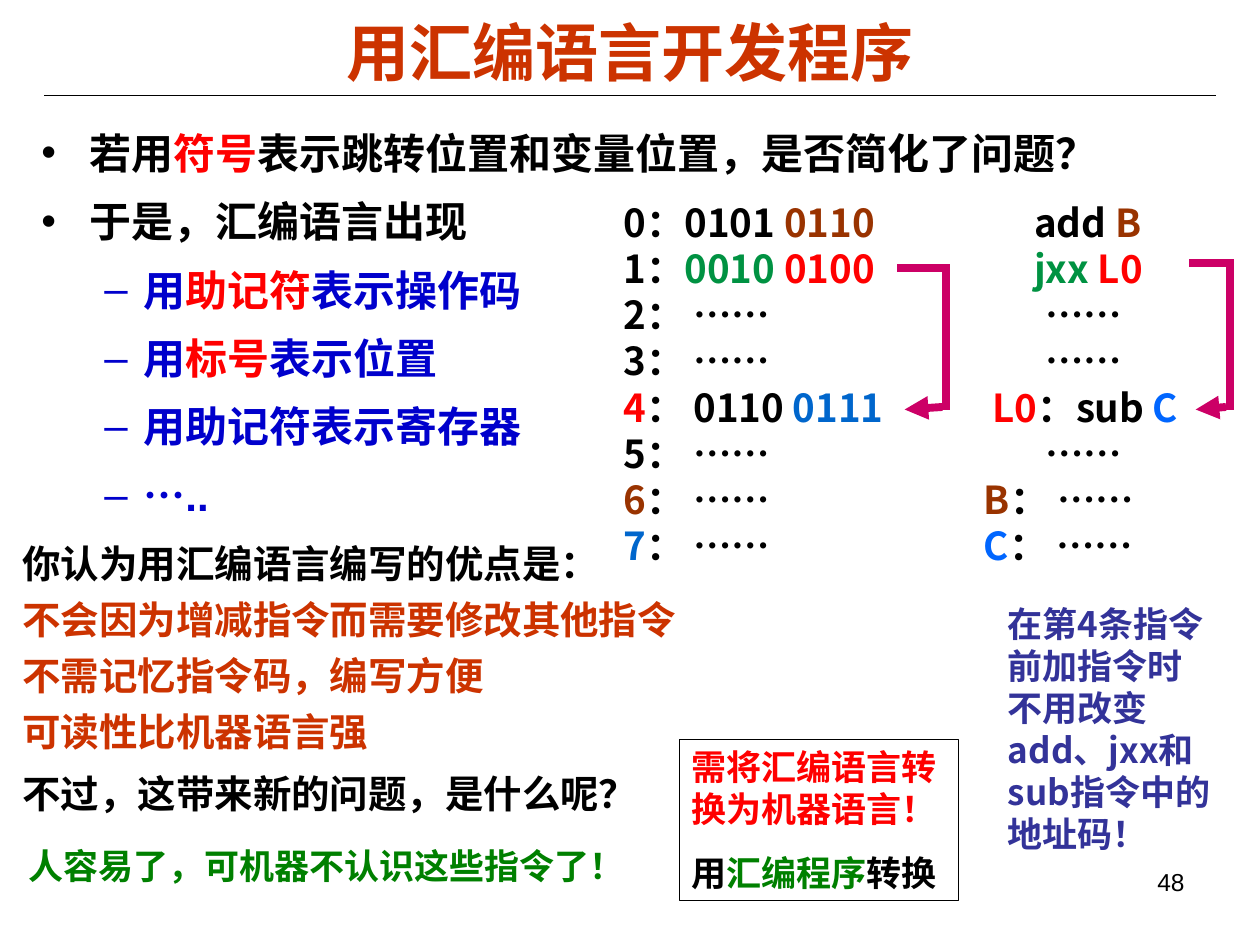
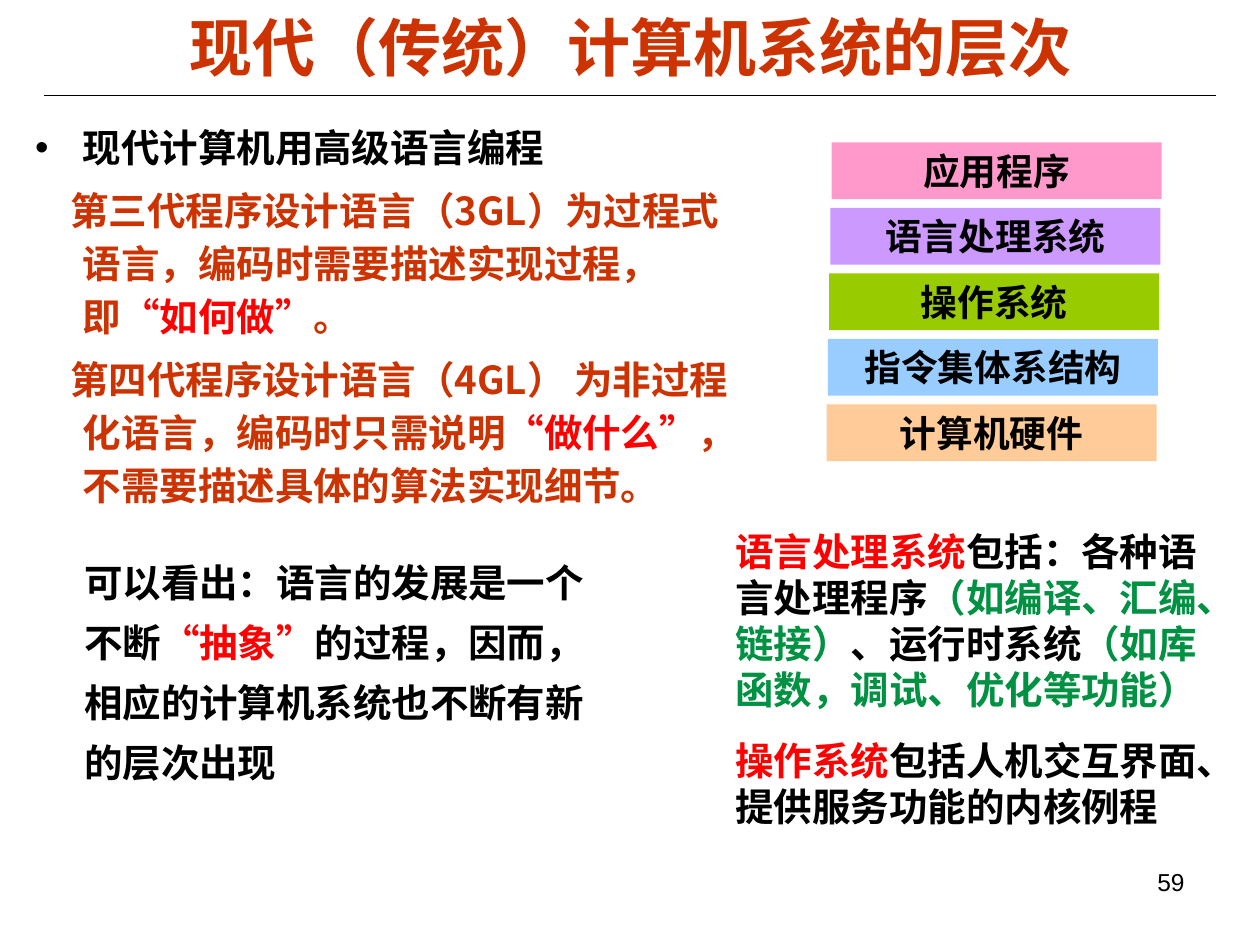
"""Two slides on assembly language and the layers of a computer system."""
from lxml.etree import SubElement
from pptx import Presentation
from pptx.dml.color import RGBColor as RGB
from pptx.enum.shapes import MSO_CONNECTOR as CONNECTOR, MSO_SHAPE as SHAPE
from pptx.enum.text import MSO_ANCHOR as ANCHOR, PP_ALIGN as ALIGN
from pptx.oxml.ns import qn
from pptx.util import Inches, Pt

COLORS = {
    "black": "000000", "red": "FF0000", "rust": "CC3300", "brown": "993300",
    "navy": "0000CC", "indigo": "333399", "blue": "0066CC", "azure": "0066FF",
    "green": "009242", "leaf": "008000", "magenta": "CC0066",
    "pink": "FF99CC", "violet": "CC99FF", "lime": "99CC00",
    "sky": "99CCFF", "peach": "FFCC99",
}
CJK = "Noto Sans CJK SC"
LATIN = "Arial"
LINE_HEIGHT = 1.2


def write(frame, paragraphs, size, font=LATIN, spacing=1.0, before=0, align=ALIGN.LEFT, bold=True):
    """Fill a text frame with paragraphs made of (text, colour[, font]) runs."""
    frame.word_wrap = True
    for index, runs in enumerate(paragraphs):
        paragraph = frame.add_paragraph() if index else frame.paragraphs[0]
        paragraph.alignment = align
        paragraph.line_spacing = Pt(round(size * LINE_HEIGHT * spacing, 1))
        paragraph.space_before = Pt(before if index else 0)
        for text, color, *own_font in runs:
            run = paragraph.add_run()
            run.text = text
            run.font.size = Pt(size)
            run.font.bold = bold
            run.font.color.rgb = RGB.from_string(COLORS[color])
            run.font.name = own_font[0] if own_font else font
            SubElement(run.font._element, qn("a:ea")).set("typeface", CJK)
    return frame


def draw_line(slide, start, end, color, width, arrow=False):
    """Draw a straight line, with an arrowhead at its end if asked."""
    line = slide.shapes.add_connector(CONNECTOR.STRAIGHT, *map(Inches, start + end))
    line.line.color.rgb = RGB.from_string(COLORS[color])
    line.line.width = Pt(width)
    if arrow:
        SubElement(line.line._get_or_add_ln(), qn("a:tailEnd")).set("type", "triangle")
    SubElement(line._element.spPr, qn("a:effectLst"))


prs = Presentation()
prs.slide_width, prs.slide_height = Inches(10), Inches(7.5)

slides = []
for heading, top, height, number in [
    ("用汇编语言开发程序", 0.18, 0.46, "48"),
    ("现代（传统）计算机系统的层次", 0.06, 0.61, "59"),
]:
    slide = prs.slides.add_slide(prs.slide_layouts[5])
    title = slide.shapes.title
    title.left, title.top, title.width, title.height = map(Inches, (0.5, top, 9, height))
    title.text_frame.vertical_anchor = ANCHOR.MIDDLE
    write(title.text_frame, [[(heading, "rust")]], 36, align=ALIGN.CENTER)
    draw_line(slide, (0.35, 0.76), (9.65, 0.76), "black", 0.75)
    page = slide.shapes.add_textbox(*map(Inches, (7.17, 6.83, 2.33, 0.52)))
    write(page.text_frame, [[(number, "black")]], 14, align=ALIGN.RIGHT, bold=False)
    slides.append(slide)
assembly, layers = slides

motives = [
    [("若用", "black"), ("符号", "red"), ("表示跳转位置和变量位置，是否简化了问题？", "black")],
    [("于是，汇编语言出现", "black")],
    [("用", "navy"), ("助记符", "red"), ("表示操作码", "navy")],
    [("用", "navy"), ("标号", "red"), ("表示位置", "navy")],
    [("用助记符表示寄存器", "navy")],
    [("…", "navy", CJK), ("..", "navy")],
]
generations = [
    [("现代计算机用高级语言编程", "black")],
    [("第三代程序设计语言（3GL）为过程式语言，编码时需要描述实现过程，即", "rust"),
     ("“如何做”", "red"), ("。", "rust")],
    [("第四代程序设计语言（4GL） 为非过程化语言，编码时只需说明", "rust"),
     ("“做什么”", "red"), ("，不需要描述具体的算法实现细节。", "rust")],
]
bullet_main = (0.38, -0.38, "•", "black")
bullet_sub = (0.81, -0.31, "–", "navy")
hanging = (0.38, -0.1, None, None)
for slide, place, paragraphs, size, font, before, styles in [
    (assembly, (0.23, 0.9, 8.91, 5.43), motives, 24, LATIN, 6, [bullet_main] * 2 + [bullet_sub] * 4),
    (layers, (0.18, 0.88, 5.91, 4.48), generations, 22, CJK, 5.5, [bullet_main] + [hanging] * 2),
]:
    body = slide.shapes.add_textbox(*map(Inches, place)).text_frame
    write(body, paragraphs, size, font, 1.15, before)
    for paragraph, (margin, indent, mark, color) in zip(body.paragraphs, styles):
        properties = paragraph._p.get_or_add_pPr()
        properties.set("marL", str(Inches(margin)))
        properties.set("indent", str(Inches(indent)))
        if mark:
            mark_color = SubElement(properties, qn("a:buClr"))
            SubElement(mark_color, qn("a:srgbClr")).set("val", COLORS[color])
            SubElement(properties, qn("a:buFont")).set("typeface", LATIN)
            SubElement(properties, qn("a:buChar")).set("char", mark)

machine_code = [
    [("0：0101 ", "black"), ("0110", "brown")],
    [("1：", "black"), ("0010 ", "green"), ("0100", "red")],
    [("2： ……", "black")],
    [("3： ……", "black")],
    [("4", "red"), ("： 0110 ", "black"), ("0111", "blue")],
    [("5： ……", "black")],
    [("6", "brown"), ("： ……", "black")],
    [("7", "blue"), ("： ……", "black")],
]
symbolic_code = [
    [("add ", "black"), ("B", "brown")],
    [("jxx ", "green"), ("L0", "red")],
    [("……", "black")],
    [("……", "black")],
    [("L0", "red"), ("：sub ", "black"), ("C", "azure")],
    [("……", "black")],
    [("B", "brown"), ("： ……", "black")],
    [("C", "azure"), ("： ……", "black")],
]
symbolic_indents = [0.4, 0.4, 0.49, 0.49, 0.07, 0.49, 0, 0]
advantages = [
    [("你认为用汇编语言编写的优点是：", "black")],
    [("不会因为增减指令而需要修改其他指令", "rust")],
    [("不需记忆指令码，编写方便", "rust")],
    [("可读性比机器语言强", "rust")],
]
edit_note = [[("在第4条指令前加指令时不用改变add、jxx和sub指令中的地址码！", "indigo")]]
question = [[("不过，这带来新的问题，是什么呢？", "black")]]
answer = [[("人容易了，可机器不认识这些指令了！", "leaf")]]
abstraction = [[
    ("可以看出：语言的发展是一个不断", "black"), ("“抽象”", "red"),
    ("的过程，因而，相应的计算机系统也不断有新的层次出现", "black"),
]]
system_parts = [
    [("语言处理系统", "red"), ("包括：各种语言处理程序", "black"),
     ("（如编译、汇编、链接）", "green"), ("、运行时系统", "black"),
     ("（如库函数，调试、优化等功能）", "green")],
    [("操作系统", "red"), ("包括人机交互界面、提供服务功能的内核例程", "black")],
]
for slide, place, paragraphs, size, font, spacing, before in [
    (assembly, (4.85, 1.53, 2.65, 3.04), machine_code, 22, CJK, 1, 0),
    (assembly, (7.71, 1.53, 2.05, 3.04), symbolic_code, 22, CJK, 1, 0),
    (assembly, (7.9, 4.73, 1.82, 2.1), edit_note, 20, CJK, 1, 0),
    (assembly, (0.08, 4.24, 5.71, 1.8), advantages, 22, LATIN, 1, 5.5),
    (assembly, (0.08, 6.06, 5.36, 0.47), question, 22, LATIN, 1, 0),
    (assembly, (0.13, 6.65, 5.02, 0.44), answer, 20, LATIN, 1, 0),
    (layers, (0.57, 4.28, 4.33, 2.01), abstraction, 22, CJK, 1.3, 0),
    (layers, (5.74, 4.14, 4.04, 2.49), system_parts, 22, LATIN, 1, 13.8),
]:
    note = slide.shapes.add_textbox(*map(Inches, place))
    write(note.text_frame, paragraphs, size, font, spacing, before)
    if paragraphs is symbolic_code:
        for paragraph, margin in zip(note.text_frame.paragraphs, symbolic_indents):
            paragraph._p.get_or_add_pPr().set("marL", str(Inches(margin)))

for start, corner, tip, top in [(7.12, 7.51, 7.18, 2.13), (9.44, 9.76, 9.49, 2.09)]:
    draw_line(assembly, (start, top), (corner + 0.03, top), "magenta", 4.5)
    draw_line(assembly, (corner, top), (corner, 3.25), "magenta", 4.5)
    draw_line(assembly, (corner - 0.03, 3.23), (tip, 3.25), "magenta", 4.5, arrow=True)

conversion = assembly.shapes.add_shape(SHAPE.RECTANGLE, *map(Inches, (5.39, 5.87, 2.22, 1.28)))
conversion.shadow.inherit = False
conversion.fill.background()
conversion.line.color.rgb = RGB.from_string(COLORS["black"])
conversion.line.width = Pt(0.75)
conversion.text_frame.margin_right = 0
conversion.text_frame.vertical_anchor = ANCHOR.TOP
write(conversion.text_frame, [
    [("需将汇编语言转换为机器语言！", "red")],
    [("用", "black"), ("汇编程序", "leaf"), ("转换", "black")],
], 20, before=12.5)

for index, (name, color) in enumerate([
    ("应用程序", "pink"), ("语言处理系统", "violet"), ("操作系统", "lime"),
    ("指令集体系结构", "sky"), ("计算机硬件", "peach"),
]):
    place = (6.6 - 0.01 * index, 1.13 + 0.52 * index, 2.62, 0.45)
    layer = layers.shapes.add_shape(SHAPE.RECTANGLE, *map(Inches, place))
    layer.shadow.inherit = False
    layer.fill.solid()
    layer.fill.fore_color.rgb = RGB.from_string(COLORS[color])
    layer.line.fill.background()
    layer.text_frame.vertical_anchor = ANCHOR.TOP
    write(layer.text_frame, [[(name, "black")]], 21, align=ALIGN.CENTER)

prs.save("out.pptx")
